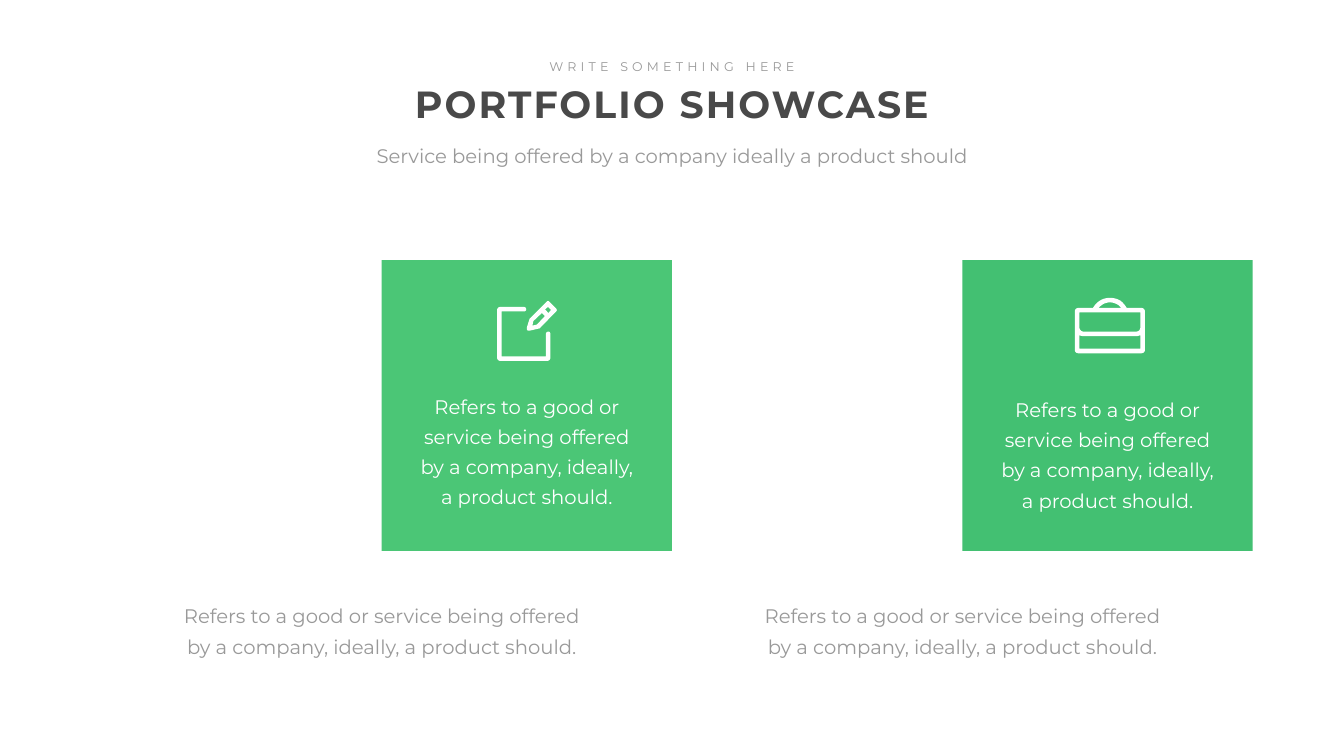
import pptx
import pptx.dml.color
import pptx.enum.shapes
import pptx.enum.text
import pptx.util
from dataclasses import dataclass

Inches = pptx.util.Inches
Pt = pptx.util.Pt


@dataclass(frozen=True)
class Theme:
    """Colours, type sizes and font of the slide."""
    font: str = "Montserrat"
    dark: str = "494949"
    grey: str = "999999"
    white: str = "FFFFFF"
    greens: tuple = ("4BC676", "43C072")
    title: int = 54
    eyebrow: int = 18
    body: int = 28
    leading: int = 43


THEME = Theme()
WIDTH, HEIGHT = 26.66, 15
TILE = 5.76
MARGIN = (WIDTH - 4 * TILE) / 2
TILE_TOP, TILE_HEIGHT = 5.16, 5.77
MESSAGE = "Refers to a good or service being offered by a company, ideally, a product should."

EDIT_ICON = [
    [[(102, 61), (99, 61, 97, 63, 97, 66), (97, 110), (9, 110), (9, 21), (53, 21),
      (56, 21, 58, 19, 58, 17), (58, 14, 56, 12, 53, 12), (6, 12), (3, 12, 0, 15, 0, 19),
      (0, 112), (0, 116, 3, 119, 6, 119), (100, 119), (103, 119, 106, 116, 106, 112),
      (106, 66), (106, 63, 104, 61, 102, 61)]],
    [[(102, 24), (95, 17), (101, 12), (107, 18)],
     [(79, 47), (70, 49), (72, 40), (89, 24), (95, 30)],
     [(117, 15), (104, 2), (103, 1, 102, 0, 101, 0), (100, 0, 99, 1, 98, 2), (65, 35),
      (65, 35, 64, 36, 64, 37), (59, 53), (59, 55, 59, 57, 60, 58), (61, 59, 62, 59, 64, 59),
      (65, 59), (82, 55), (83, 55, 84, 55, 85, 54), (117, 21), (119, 20, 119, 17, 117, 15)]],
]
BRIEFCASE_ICON = [
    [[(9, 101), (9, 74), (11, 75, 14, 76, 17, 76), (122, 76), (125, 76, 128, 75, 130, 74),
      (130, 101)],
     [(9, 29), (130, 29), (130, 58), (130, 63, 127, 67, 122, 67), (17, 67),
      (13, 67, 9, 63, 9, 58)],
     [(54, 14), (58, 11, 64, 9, 70, 9), (75, 9, 81, 11, 86, 14), (88, 16, 90, 18, 92, 20),
      (47, 20), (49, 18, 51, 16, 54, 14)],
     [(132, 20), (103, 20), (100, 15, 96, 10, 91, 6), (85, 2, 77, 0, 70, 0),
      (62, 0, 55, 2, 49, 6), (43, 10, 39, 15, 36, 20), (7, 20), (3, 20, 0, 23, 0, 27),
      (0, 104), (0, 107, 3, 110, 7, 110), (132, 110), (136, 110, 139, 107, 139, 104),
      (139, 27), (139, 23, 136, 20, 132, 20)]],
]


def column(index):
    """Return the left edge of a tile column."""
    return MARGIN + index * TILE


def paint(shape, color):
    """Give a shape a plain fill without line or shadow."""
    shape.shadow.inherit = False
    shape.fill.solid()
    shape.fill.fore_color.rgb = pptx.dml.color.RGBColor.from_string(color)
    shape.line.fill.background()


def add_text(slide, center, top, width, height, text, size, color,
             bold=False, spacing=0, wrap=True):
    """Add one centred line of display text and return its box."""
    box = slide.shapes.add_textbox(Inches(center - width / 2), Inches(top),
                                   Inches(width), Inches(height))
    frame = box.text_frame
    frame.word_wrap = wrap
    frame.auto_size = pptx.enum.text.MSO_AUTO_SIZE.SHAPE_TO_FIT_TEXT
    para = frame.paragraphs[0]
    para.alignment = pptx.enum.text.PP_ALIGN.CENTER
    span = para.add_run()
    span.text = text
    if spacing:
        span._r.get_or_add_rPr().set("spc", str(spacing * 100))
    para.font.name = THEME.font
    para.font.size = Pt(size)
    para.font.bold = bold
    para.font.color.rgb = pptx.dml.color.RGBColor.from_string(color)
    return box


def add_body(slide, center, top, width, height, text, color):
    """Add centred body text with fixed leading and wide insets."""
    frame = add_text(slide, center, top, width, height, text, THEME.body, color).text_frame
    frame.margin_left = frame.margin_right = Inches(0.24)
    frame.margin_top = frame.margin_bottom = Inches(0.12)
    frame.paragraphs[0].line_spacing = Pt(THEME.leading)


def flatten(contour, steps=6):
    """Turn a contour of lines and cubic curves into points."""
    points = [contour[0]]
    for segment in contour[1:]:
        if len(segment) == 2:
            points.append(segment)
            continue
        nodes = [points[-1], segment[0:2], segment[2:4], segment[4:6]]
        for step in range(1, steps + 1):
            t = step / steps
            weights = ((1 - t) ** 3, 3 * t * (1 - t) ** 2, 3 * t * t * (1 - t), t ** 3)
            points.append(tuple(sum(w * node[axis] for w, node in zip(weights, nodes))
                                for axis in (0, 1)))
    return points


def add_icon(slide, left, top, parts):
    """Draw icon parts given in hundredths of an inch."""
    for contours in parts:
        builder = None
        for contour in contours:
            points = [(Inches(left + x / 100), Inches(top + y / 100))
                      for x, y in flatten(contour)]
            if builder is None:
                builder = slide.shapes.build_freeform(*points[0], scale=1.0)
            else:
                builder.move_to(*points[0])
            builder.add_line_segments(points[1:], close=True)
        paint(builder.convert_to_shape(), THEME.white)


def add_tile(slide, left, color, icon, icon_offset, text_top):
    """Add a green tile with its icon and text, and the caption below it."""
    tile = slide.shapes.add_shape(pptx.enum.shapes.MSO_SHAPE.RECTANGLE, Inches(left),
                                  Inches(TILE_TOP), Inches(TILE), Inches(TILE_HEIGHT))
    paint(tile, color)
    add_icon(slide, left + icon_offset[0], TILE_TOP + icon_offset[1], icon)
    add_body(slide, left + TILE / 2, text_top, 4.71, 2.6, MESSAGE, THEME.white)
    add_body(slide, left, 11.74, 8.86, 1.39, MESSAGE, THEME.grey)


def add_heading(slide):
    """Add the title with the lines above and below it."""
    center = WIDTH / 2
    add_text(slide, center, 1.55, 12.09, 1.01, "PORTFOLIO SHOWCASE",
             THEME.title, THEME.dark, bold=True, spacing=3)
    add_text(slide, center, 1.12, 5.18, 0.4, "WRITE SOMETHING HERE",
             THEME.eyebrow, THEME.grey, spacing=6, wrap=False)
    add_body(slide, center, 2.6, 13.14, 0.79,
             "Service being offered by a company ideally a product should", THEME.grey)


def main():
    """Build the slide and save the deck."""
    deck = pptx.Presentation()
    deck.slide_width, deck.slide_height = Inches(WIDTH), Inches(HEIGHT)
    page = deck.slides.add_slide(deck.slide_layouts[6])
    add_heading(page)
    add_tile(page, column(1), THEME.greens[0], EDIT_ICON, (2.29, 0.81), 7.58)
    add_tile(page, column(3), THEME.greens[1], BRIEFCASE_ICON, (2.23, 0.75), 7.65)
    deck.save("out.pptx")


if __name__ == "__main__":
    main()
